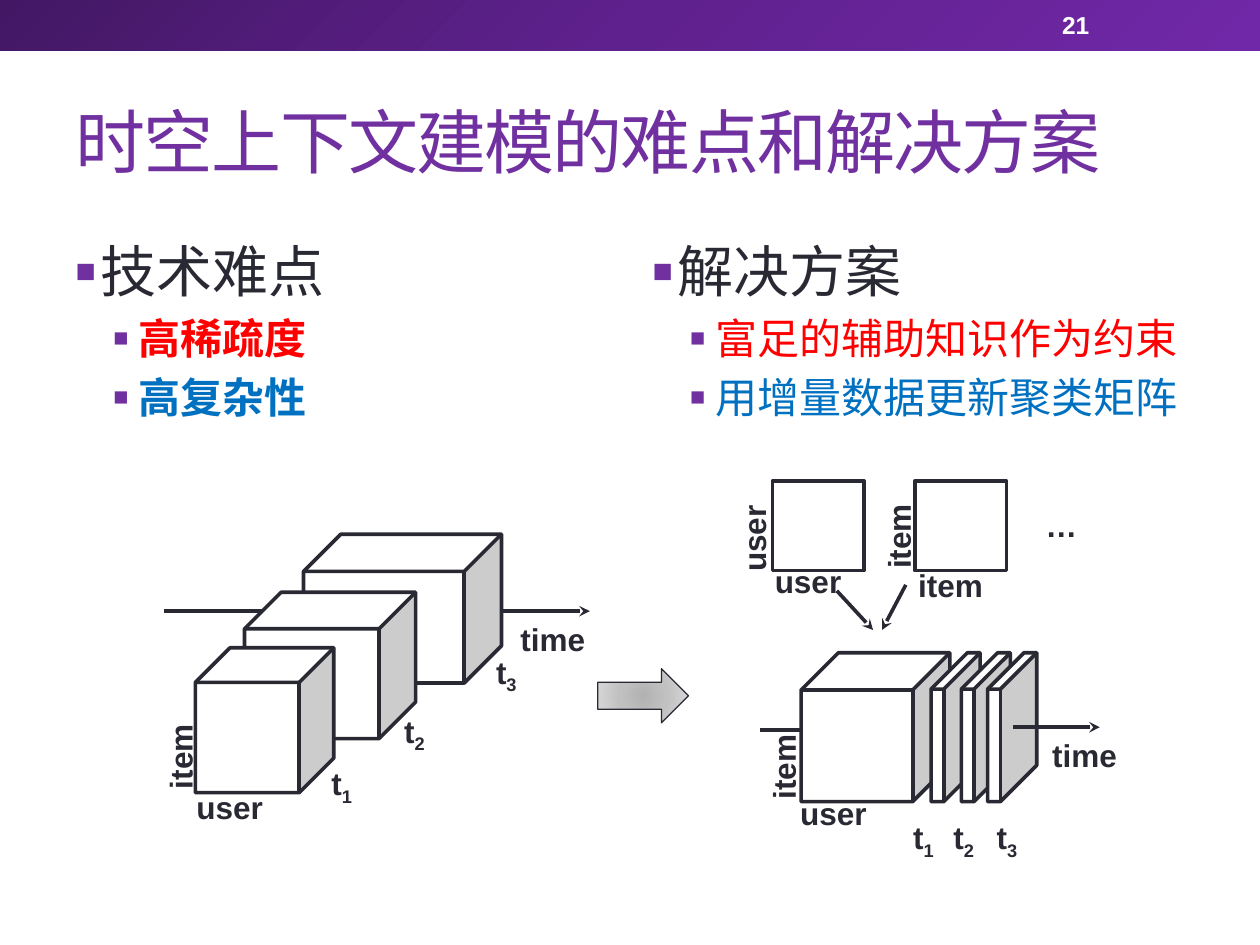
from lxml.etree import SubElement
from pptx import Presentation
from pptx.dml.color import RGBColor
from pptx.enum.shapes import MSO_CONNECTOR, MSO_SHAPE
from pptx.enum.text import MSO_ANCHOR, MSO_AUTO_SIZE, PP_ALIGN
from pptx.oxml import parse_xml
from pptx.oxml.ns import nsdecls, qn
from pptx.util import Cm, Pt

COLORS = {
    "ink": "292934", "purple": "7030A0", "red": "FF0000",
    "blue": "0070C0", "white": "FFFFFF",
}
RGB = {name: RGBColor.from_string(value) for name, value in COLORS.items()}
LINE_WIDTH = Pt(2.08)


def add_line(x1, y1, x2, y2, arrow=False):
    line = page.shapes.add_connector(
        MSO_CONNECTOR.STRAIGHT, Cm(x1), Cm(y1), Cm(x2), Cm(y2))
    line.line.color.rgb = RGB["ink"]
    line.line.width = LINE_WIDTH
    if arrow:
        SubElement(line.line._get_or_add_ln(), qn("a:tailEnd"), type="stealth")
    SubElement(line._element.spPr, qn("a:effectLst"))


def fill_gradient(shape, stops, direction):
    """Fill with (percent, hex) stops; direction is the a:lin or a:path XML."""
    stop_xml = "".join(
        f'<a:gs pos="{percent * 1000}"><a:srgbClr val="{color}"/></a:gs>'
        for percent, color in stops)
    gradient = parse_xml(
        f'<a:gradFill {nsdecls("a")} rotWithShape="1">'
        f"<a:gsLst>{stop_xml}</a:gsLst>{direction}</a:gradFill>")
    shape._element.spPr.find(qn("a:prstGeom")).addnext(gradient)
    shape.shadow.inherit = False


deck = Presentation()
deck.slide_width, deck.slide_height = Cm(25.4), Cm(19.05)
page = deck.slides.add_slide(deck.slide_layouts[3])
title, left_body, right_body = page.placeholders

# Header band
band = page.shapes.add_shape(MSO_SHAPE.RECTANGLE, 0, 0, deck.slide_width, Cm(1.02))
fill_gradient(band, [(0, "431764"), (50, "5F218E"), (100, "7128A8")],
              '<a:lin ang="2700000" scaled="0"/>')
band.line.fill.background()

number = page.shapes.add_textbox(Cm(21.16), Cm(0.05), Cm(2.97), Cm(0.91))
number.text_frame.word_wrap = True
number.text_frame.vertical_anchor = MSO_ANCHOR.MIDDLE
para = number.text_frame.paragraphs[0]
para.text = "21"
para.font.name, para.font.size, para.font.bold = "Arial", Pt(14), True
para.font.color.rgb = RGB["white"]

# Title and lists
title.left, title.top, title.width, title.height = Cm(1.27), Cm(1.47), Cm(22.86), Cm(2.74)
title.text_frame.vertical_anchor = MSO_ANCHOR.MIDDLE
title.text_frame.auto_size = MSO_AUTO_SIZE.NONE
para = title.text_frame.paragraphs[0]
para.text = "时空上下文建模的难点和解决方案"
para.alignment = PP_ALIGN.LEFT
para.font.name, para.font.size = "Arial", Pt(40)
para.font.color.rgb = RGB["purple"]
para.runs[0]._r.get_or_add_rPr().set("spc", "-100")

lists = [
    (left_body, 1.27, True, ["技术难点", "高稀疏度", "高复杂性"]),
    (right_body, 12.9, False, ["解决方案", "富足的辅助知识作为约束", "用增量数据更新聚类矩阵"]),
]
for body, left, bold_items, texts in lists:
    body.left, body.top, body.width, body.height = Cm(left), Cm(4.65), Cm(11.23), Cm(13.11)
    frame = body.text_frame
    frame.auto_size = MSO_AUTO_SIZE.NONE
    for index, (text, color) in enumerate(zip(texts, ["ink", "red", "blue"])):
        para = frame.add_paragraph() if index else frame.paragraphs[0]
        para.text = text
        para.level = min(index, 1)
        properties = para._p.get_or_add_pPr()
        properties.set("marL", str(Cm(1.27 if index else 0.51)))
        properties.set("indent", str(Cm(-0.51)))
        bullet_color = SubElement(properties, qn("a:buClr"))
        SubElement(bullet_color, qn("a:srgbClr"), val=COLORS["purple"])
        SubElement(properties, qn("a:buSzPct"), val="60000")
        SubElement(properties, qn("a:buFont"), typeface="Arial")
        SubElement(properties, qn("a:buChar"), char="■")
        para.font.name = "Arial"
        para.font.size = Pt(24 if index else 32)
        para.font.bold = bold_items and index > 0
        para.font.color.rgb = RGB[color]

# Time axes behind the cubes
add_line(3.3, 12.32, 5.87, 12.32)
add_line(15.32, 14.71, 17.68, 14.71)

# Cubes: left, top, width, height, depth ratio
cubes = [
    (6.12, 10.77, 3.99, 3, 0.25),
    (4.93, 11.94, 3.45, 2.95, 0.25),
    (3.94, 13.06, 2.79, 2.92, 0.25),
    (16.15, 13.16, 3, 3, 0.25),
]
cubes += [(left, 13.16, 0.99, 3, 0.74) for left in (18.77, 19.38, 19.91)]
cubes += [(left, 9.7, 1.85, 1.8, 0) for left in (15.57, 18.44)]
for left, top, width, height, depth in cubes:
    cube = page.shapes.add_shape(
        MSO_SHAPE.CUBE, Cm(left), Cm(top), Cm(width), Cm(height))
    cube.adjustments[0] = depth
    cube.fill.solid()
    cube.fill.fore_color.rgb = RGB["white"]
    cube.line.color.rgb = RGB["ink"]
    cube.line.width = LINE_WIDTH
    cube.shadow.inherit = False

# Arrows in front of the cubes
for ends in [(10.13, 12.32, 11.89, 12.32), (20.42, 14.66, 22.17, 14.66),
             (16.87, 11.91, 17.6, 12.7), (18.26, 11.79, 17.78, 12.7)]:
    add_line(*ends, arrow=True)

block_arrow = page.shapes.add_shape(
    MSO_SHAPE.DOWN_ARROW, Cm(12.42), Cm(13.11), Cm(1.09), Cm(1.83))
block_arrow.rotation = 270
fill_gradient(block_arrow, [(0, "B2B2B3"), (45, "C1C1C2"), (100, "DDDDDE")],
              '<a:path path="circle"><a:fillToRect l="50000" t="50000" '
              'r="50000" b="50000"/></a:path>')
block_arrow.line.color.rgb = RGB["ink"]
block_arrow.line.width = Pt(0.75)

# Labels: text, subscript, left, top, width, rotation
labels = [
    ("time", "", 10.24, 12.37, 1.83, 0),
    ("user", "", 3.71, 15.77, 1.85, 0),
    ("item", "", 2.72, 14.73, 1.83, 270),
    ("t", "1", 6.43, 15.27, 0.97, 0),
    ("t", "2", 7.9, 14.22, 0.97, 0),
    ("t", "3", 9.75, 13.03, 0.97, 0),
    ("time", "", 20.96, 14.71, 1.83, 0),
    ("user", "", 15.88, 15.88, 1.85, 0),
    ("item", "", 14.88, 14.94, 1.83, 270),
    ("t", "1", 18.16, 16.36, 0.97, 0),
    ("t", "2", 18.97, 16.36, 0.97, 0),
    ("t", "3", 19.84, 16.36, 0.97, 0),
    ("…", "", 20.83, 10.08, 1.14, 0),
    ("user", "", 15.37, 11.2, 1.85, 0),
    ("user", "", 14.27, 10.34, 1.85, 270),
    ("item", "", 17.2, 10.29, 1.83, 270),
    ("item", "", 18.26, 11.28, 1.83, 0),
]
for text, subscript, left, top, width, rotation in labels:
    box = page.shapes.add_textbox(Cm(left), Cm(top), Cm(width), Cm(1.02))
    box.rotation = rotation
    box.text_frame.word_wrap = False
    box.text_frame.auto_size = MSO_AUTO_SIZE.SHAPE_TO_FIT_TEXT
    para = box.text_frame.paragraphs[0]
    para.text = text
    if subscript:
        span = para.add_run()
        span.text = subscript
        span._r.get_or_add_rPr().set("baseline", "-25000")
    para.font.name, para.font.size, para.font.bold = "Arial", Pt(18), True
    para.font.color.rgb = RGB["ink"]

deck.save("out.pptx")
